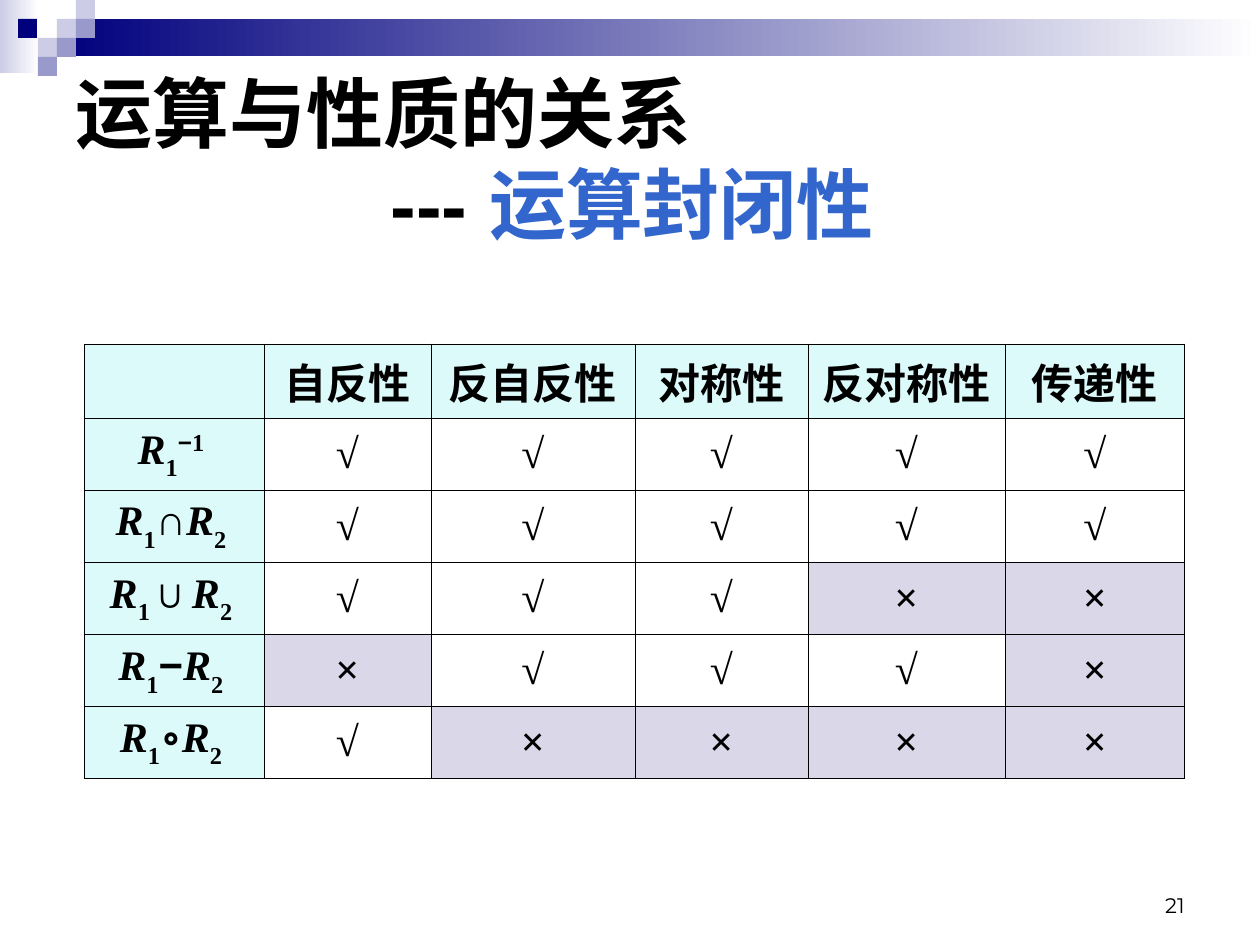
import lxml.etree
import pptx
import pptx.dml.color
import pptx.enum.shapes
import pptx.enum.text
import pptx.oxml.ns
import pptx.util

RGB = pptx.dml.color.RGBColor
ALIGN = pptx.enum.text.PP_ALIGN
ANCHOR = pptx.enum.text.MSO_ANCHOR
Pt = pptx.util.Pt
qn = pptx.oxml.ns.qn

BLACK = RGB(0x00, 0x00, 0x00)
WHITE = RGB(0xFF, 0xFF, 0xFF)
NAVY = RGB(0x00, 0x00, 0x7D)
LILAC = RGB(0xCC, 0xCC, 0xE6)
VIOLET = RGB(0x99, 0x99, 0xCC)
BLUE = RGB(0x33, 0x66, 0xCC)
AQUA = RGB(0xDD, 0xFA, 0xFB)
GREY = RGB(0xDA, 0xD7, 0xE9)

CJK = "Noto Sans CJK SC"
SERIF = "Times New Roman"
SUB, SUPER = -30, 30

HEADERS = ["", "自反性", "反自反性", "对称性", "反对称性", "传递性"]
R1 = [("R", {"italic": True}), ("1", {"base": SUB})]
R2 = [("R", {"italic": True}), ("2 ", {"base": SUB})]
ROWS = [
    (R1 + [("−", {"font": "Arial", "base": SUPER}), ("1 ", {"base": SUPER})], "√√√√√"),
    (R1 + [("∩", {})] + R2, "√√√√√"),
    (R1 + [("∪", {})] + R2, "√√√××"),
    (R1 + [("−", {"font": "Arial"})] + R2, "×√√√×"),
    (R1 + [("∘", {})] + R2, "√××××"),
]
COL_WIDTHS = [180, 167, 204, 173, 197, 180]
ROW_HEIGHTS = [74] + [72] * len(ROWS)


def px(n):
    return pptx.util.Emu(round(n * 914400 / 126))


def add_run(p, text, size, font=SERIF, color=BLACK, bold=True, italic=False, base=0):
    r = p.add_run()
    r.text = text
    r.font.size = Pt(size)
    r.font.name = font
    r.font.bold = bold
    r.font.italic = italic
    r.font.color.rgb = color
    rPr = r.font._element
    if base:
        rPr.set("baseline", str(base * 1000))
    ea = lxml.etree.SubElement(rPr, qn("a:ea"))
    ea.set("typeface", CJK)


def add_rect(slide, x, y, w, h, *colors):
    sp = slide.shapes.add_shape(
        pptx.enum.shapes.MSO_SHAPE.RECTANGLE, px(x), px(y), px(w), px(h))
    sp.shadow.inherit = False
    sp.line.fill.background()
    if len(colors) == 1:
        sp.fill.solid()
        sp.fill.fore_color.rgb = colors[0]
    else:
        sp.fill.gradient()
        sp.fill.gradient_angle = 0
        for stop, color in zip(sp.fill.gradient_stops, colors):
            stop.color.rgb = color


def add_banner(slide):
    add_rect(slide, 0, 0, 39, 73, LILAC, WHITE)
    add_rect(slide, 57, 19, 1203, 37, NAVY, WHITE)
    squares = [(57, 19, LILAC), (76, 0, LILAC), (76, 19, VIOLET), (38, 38, LILAC),
               (18, 19, NAVY), (57, 38, VIOLET), (38, 57, VIOLET)]
    for x, y, color in squares:
        add_rect(slide, x, y, 19, 19, color)


def add_title(slide):
    sp = slide.shapes.title
    sp.left, sp.top, sp.width, sp.height = px(63), px(63), px(1134), px(189)
    tf = sp.text_frame
    tf.auto_size = pptx.enum.text.MSO_AUTO_SIZE.NONE
    tf.vertical_anchor = ANCHOR.MIDDLE
    p = tf.paragraphs[0]
    add_run(p, "运算与性质的关系", 44, "Arial")
    p2 = tf.add_paragraph()
    p2._p.get_or_add_pPr().set("marL", str(px(315)))
    add_run(p2, "--- ", 44, "Arial")
    add_run(p2, "运算封闭性", 44, CJK, BLUE)
    for p in tf.paragraphs:
        p.alignment = ALIGN.LEFT
        p.line_spacing = Pt(52)


def add_number(slide, text):
    sp = slide.shapes.add_textbox(px(903), px(861), px(294), px(63))
    tf = sp.text_frame
    tf.word_wrap = True
    tf.vertical_anchor = ANCHOR.BOTTOM
    p = tf.paragraphs[0]
    p.alignment = ALIGN.RIGHT
    add_run(p, text, 12, "Montserrat", bold=False)


def set_borders(cell):
    tcPr = cell._tc.get_or_add_tcPr()
    for i, side in enumerate(("lnL", "lnR", "lnT", "lnB")):
        ln = lxml.etree.Element(qn("a:" + side), w=str(Pt(0.45)))
        fill = lxml.etree.SubElement(ln, qn("a:solidFill"))
        lxml.etree.SubElement(fill, qn("a:srgbClr"), val=str(BLACK))
        tcPr.insert(i, ln)


def fill_cell(cell, runs, color=None):
    cell.vertical_anchor = ANCHOR.MIDDLE
    if color is None:
        cell.fill.background()
    else:
        cell.fill.solid()
        cell.fill.fore_color.rgb = color
    set_borders(cell)
    p = cell.text_frame.paragraphs[0]
    p.alignment = ALIGN.CENTER
    for text, style in runs:
        add_run(p, text, 24, **style)


def add_property_table(slide):
    table = slide.shapes.add_table(
        len(ROW_HEIGHTS), len(COL_WIDTHS), px(84), px(344),
        px(sum(COL_WIDTHS)), px(sum(ROW_HEIGHTS))).table
    table.first_row = False
    table.horz_banding = False
    for col, w in zip(table.columns, COL_WIDTHS):
        col.width = px(w)
    for row, h in zip(table.rows, ROW_HEIGHTS):
        row.height = px(h)
    for c, text in enumerate(HEADERS):
        fill_cell(table.cell(0, c), [(text, {})] if text else [], AQUA)
    for r, (label, marks) in enumerate(ROWS, 1):
        fill_cell(table.cell(r, 0), label, AQUA)
        for c, mark in enumerate(marks, 1):
            fill_cell(table.cell(r, c), [(mark, {})], GREY if mark == "×" else None)


def main():
    prs = pptx.Presentation()
    prs.slide_width, prs.slide_height = px(1260), px(945)
    slide = prs.slides.add_slide(prs.slide_layouts[5])
    add_banner(slide)
    add_number(slide, "21")
    add_title(slide)
    add_property_table(slide)
    prs.save("out.pptx")


if __name__ == "__main__":
    main()
